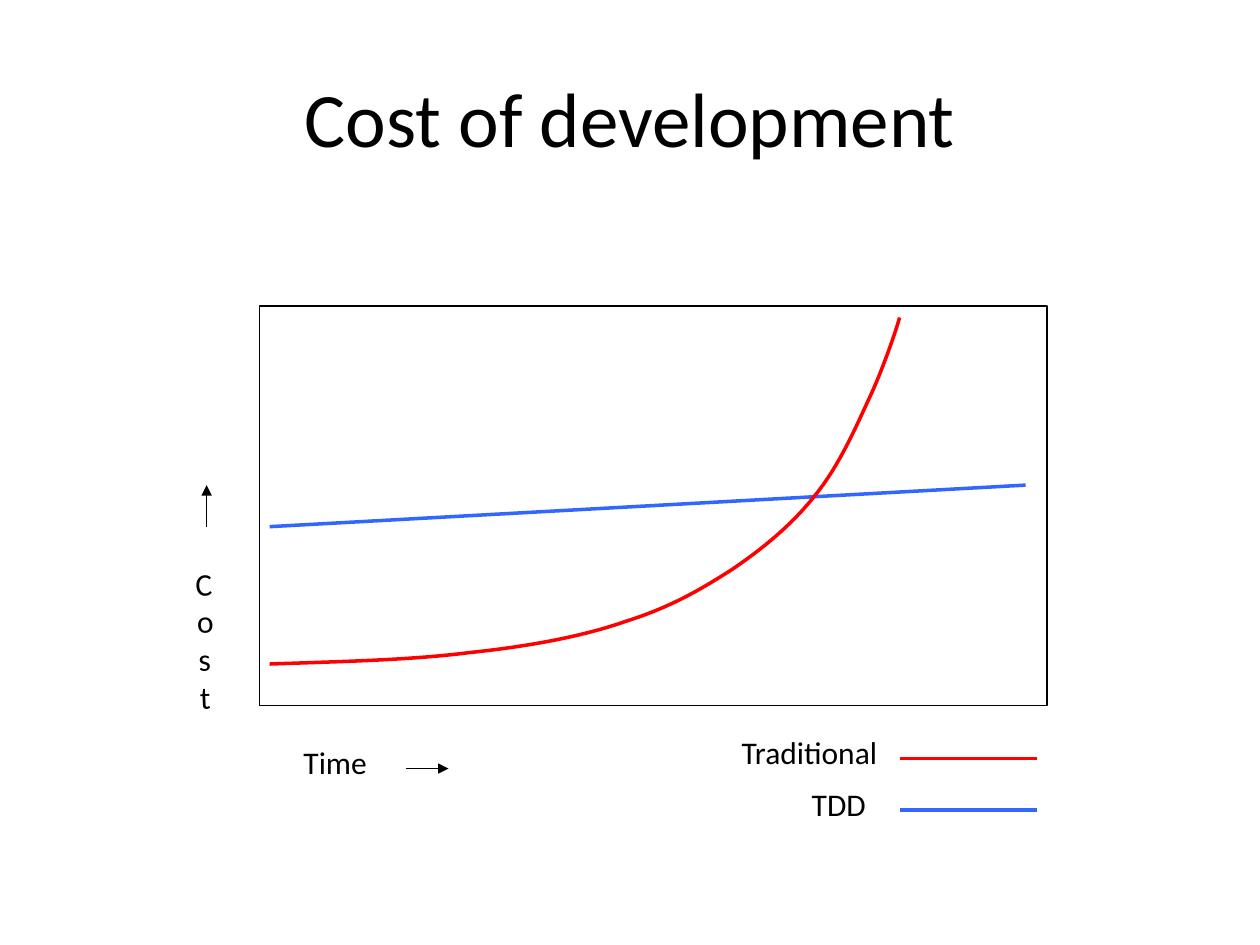
from pptx import Presentation
from pptx.dml.color import RGBColor
from pptx.enum import shapes, text
from pptx.oxml.ns import qn
from pptx.util import Inches, Pt
from lxml import etree

COLORS = {"ink": "000000", "traditional": "FF0000", "tdd": "3366FF"}


def add_line(start, end, color, width, arrow=False):
    line = slide.shapes.add_connector(
        shapes.MSO_CONNECTOR.STRAIGHT, *map(Inches, start + end))
    line.line.color.rgb = RGBColor.from_string(COLORS[color])
    line.line.width = Pt(width)
    if arrow:
        etree.SubElement(line.line._get_or_add_ln(), qn("a:tailEnd"), type="triangle")
    etree.SubElement(line._element.spPr, qn("a:effectLst"))


def format_text(paragraph, size, align):
    paragraph.alignment = align
    paragraph.font.name = "Calibri"
    paragraph.font.size = Pt(size)
    paragraph.font.color.rgb = RGBColor.from_string(COLORS["ink"])


presentation = Presentation()
presentation.slide_width, presentation.slide_height = Inches(10), Inches(7.5)
slide = presentation.slides.add_slide(presentation.slide_layouts[5])

# Title
title = slide.shapes.title
title.left, title.top, title.width, title.height = map(Inches, (0.5, 0.3, 9, 1.25))
title.text_frame.text = "Cost of development"
title.text_frame.vertical_anchor = text.MSO_ANCHOR.MIDDLE
format_text(title.text_frame.paragraphs[0], 44, text.PP_ALIGN.CENTER)

# Plot frame
frame = slide.shapes.add_shape(
    shapes.MSO_SHAPE.RECTANGLE, *map(Inches, (2.06, 2.43, 6.25, 3.17)))
frame.shadow.inherit = False
frame.fill.background()
frame.line.color.rgb = RGBColor.from_string(COLORS["ink"])
frame.line.width = Pt(0.75)

# Axis and legend labels; the cost label is narrow enough to stack its letters
LEFT, RIGHT = text.PP_ALIGN.LEFT, text.PP_ALIGN.RIGHT
for label, box, align, rotation in [
    ("Time", (2.31, 5.85, 2.18, 0.4), LEFT, 0),
    ("Cost", (1.47, 4.43, 0.33, 1.3), LEFT, 357.7),
    ("Traditional", (5.39, 5.77, 1.67, 0.4), RIGHT, 0),
    ("TDD", (6.14, 6.18, 0.83, 0.4), RIGHT, 0),
]:
    text_box = slide.shapes.add_textbox(*map(Inches, box))
    text_box.rotation = rotation
    text_box.text_frame.word_wrap = True
    text_box.text_frame.auto_size = text.MSO_AUTO_SIZE.SHAPE_TO_FIT_TEXT
    text_box.text_frame.text = label
    format_text(text_box.text_frame.paragraphs[0], 18, align)

# TDD cost line, axis arrows and legend keys
add_line((2.14, 4.18), (8.14, 3.85), "tdd", 2)
add_line((1.64, 4.18), (1.64, 3.85), "ink", 0.75, arrow=True)
add_line((3.22, 6.1), (3.56, 6.1), "ink", 0.75, arrow=True)
add_line((7.14, 6.02), (8.23, 6.02), "traditional", 2)
add_line((7.14, 6.43), (8.23, 6.43), "tdd", 2)

# Traditional cost curve: a start point, then three points per Bezier segment
curve_points = [
    (2.14, 5.27),
    (2.7, 5.25), (3.25, 5.24), (3.72, 5.18),
    (4.2, 5.13), (4.63, 5.05), (4.97, 4.93),
    (5.32, 4.82), (5.56, 4.68), (5.81, 4.52),
    (6.06, 4.35), (6.29, 4.16), (6.47, 3.93),
    (6.65, 3.71), (6.78, 3.42), (6.89, 3.18),
    (7, 2.95), (7.11, 2.63), (7.14, 2.52),
]
points = [(Inches(x), Inches(y)) for x, y in curve_points]
builder = slide.shapes.build_freeform(*points[0])
builder.add_line_segments(points[1:], close=False)
curve = builder.convert_to_shape()
curve.shadow.inherit = False
curve.fill.background()
curve.line.color.rgb = RGBColor.from_string(COLORS["traditional"])
curve.line.width = Pt(2)

# Join each three straight segments into one cubic segment
segments = curve._element.xpath(".//a:lnTo")
for first in range(0, len(segments), 3):
    cubic = segments[first]
    cubic.tag = qn("a:cubicBezTo")
    for segment in segments[first + 1:first + 3]:
        cubic.append(segment[0])
        segment.getparent().remove(segment)

presentation.save("out.pptx")
